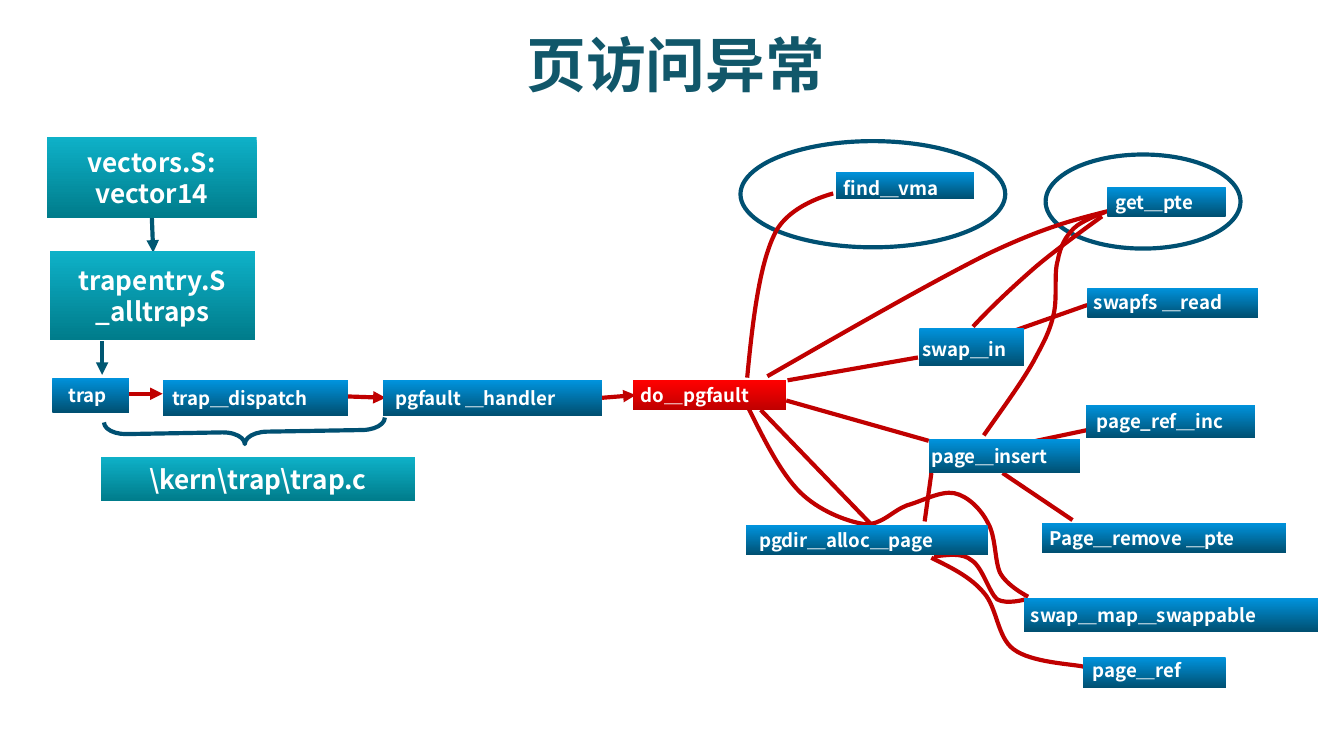
from pptx import Presentation
from pptx.dml.color import RGBColor
from pptx.enum.shapes import MSO_CONNECTOR, MSO_SHAPE
from pptx.enum.text import MSO_ANCHOR, PP_ALIGN
from pptx.oxml.ns import qn
from pptx.util import Inches, Pt
from lxml.etree import SubElement

FONT = "Noto Sans CJK SC"
HUES = {"title": "11576A", "white": "FFFFFF", "ring": "005072",
        "down": "005772", "call": "C00000"}
FADES = {"teal": ("0EB1C8", "007C8B"), "blue": ("0093DD", "005072"),
         "red": ("FF0000", "C00000")}

# Source files: lines of text, then left, top, width, height
FILES = [
    (["vectors.S:", "vector14"], (0.35, 1.02, 1.56, 0.6)),
    (["trapentry.S", "_alltraps"], (0.37, 1.87, 1.53, 0.66)),
    (["\\kern\\trap\\trap.c"], (0.75, 3.4, 2.34, 0.33)),
]
# Functions: name, place, left inset, fade
CALLS = [
    ("trap", (0.39, 2.81, 0.57, 0.26), 0.12, "blue"),
    ("trap＿dispatch", (1.21, 2.83, 1.38, 0.26), 0.07, "blue"),
    ("pgfault ＿handler", (2.85, 2.83, 1.63, 0.26), 0.09, "blue"),
    ("do＿pgfault", (4.71, 2.83, 1.14, 0.22), 0.06, "red"),
    ("find＿vma", (6.22, 1.28, 1.03, 0.2), 0.06, "blue"),
    ("get＿pte", (8.24, 1.39, 0.88, 0.22), 0.06, "blue"),
    ("swapfs ＿read", (8.09, 2.14, 1.27, 0.22), 0.05, "blue"),
    ("swap＿in", (6.84, 2.44, 0.78, 0.28), 0.02, "blue"),
    ("page_ref＿inc", (8.08, 3.01, 1.26, 0.25), 0.08, "blue"),
    ("page＿insert", (6.91, 3.27, 1.13, 0.25), 0.02, "blue"),
    ("pgdir＿alloc＿page", (5.55, 3.91, 1.8, 0.22), 0.1, "blue"),
    ("Page＿remove ＿pte", (7.75, 3.89, 1.82, 0.22), 0.06, "blue"),
    ("swap＿map＿swappable", (7.62, 4.45, 2.19, 0.25), 0.05, "blue"),
    ("page＿ref", (8.06, 4.89, 1.06, 0.23), 0.07, "blue"),
]
# Names that sit below (+) or above (-) the middle of their box
DROPS = {"find＿vma": 0.02, "swap＿in": 0.02, "page＿ref": -0.02}
RINGS = [(5.51, 1.05, 1.97, 0.79), (7.78, 1.15, 1.45, 0.7)]
# Straight lines: from x, y to x, y
ARROWS = [
    ("down", (1.13, 1.62, 1.14, 1.88)), ("down", (0.76, 2.54, 0.76, 2.79)),
    ("call", (0.96, 2.93, 1.21, 2.93)), ("call", (2.59, 2.95, 2.87, 2.96)),
    ("call", (4.48, 2.96, 4.73, 2.94)),
]
LINKS = [
    (5.66, 3.05, 6.48, 3.9), (5.85, 2.98, 6.91, 3.28),
    (5.86, 2.83, 6.83, 2.66), (7.35, 2.53, 8.09, 2.27),
    (7.57, 3.31, 8.09, 3.2), (6.88, 3.88, 6.93, 3.52),
    (7.46, 3.52, 7.98, 3.87),
]
# Curves: a start, then three points for each cubic piece
CURVES = [
    [(5.56, 2.81), (5.6, 2.39), (5.65, 1.98), (5.76, 1.75),
     (5.86, 1.52), (6.2, 1.44), (6.2, 1.44)],
    [(5.71, 2.8), (6.32, 2.45), (6.93, 2.1), (7.35, 1.89),
     (7.77, 1.69), (8.01, 1.63), (8.25, 1.57)],
    [(6.93, 4.15), (7.07, 4.22), (7.22, 4.29), (7.32, 4.41),
     (7.42, 4.52), (7.42, 4.74), (7.54, 4.83),
     (7.67, 4.93), (7.97, 4.94), (8.06, 4.96)],
    [(6.95, 4.14), (7.05, 4.13), (7.16, 4.11), (7.23, 4.17),
     (7.31, 4.22), (7.36, 4.41), (7.42, 4.46),
     (7.49, 4.5), (7.63, 4.46), (7.63, 4.46)],
    [(7.24, 2.43), (7.38, 2.28), (7.53, 2.14), (7.69, 2),
     (7.85, 1.86), (8.2, 1.61), (8.2, 1.61)],
    [(7.32, 3.24), (7.46, 3.04), (7.6, 2.85), (7.69, 2.69),
     (7.77, 2.54), (7.81, 2.47), (7.84, 2.34),
     (7.87, 2.21), (7.84, 2.04), (7.87, 1.94),
     (7.89, 1.83), (7.93, 1.76), (7.99, 1.7),
     (8.05, 1.64), (8.22, 1.58), (8.22, 1.58)],
    [(5.57, 3.04), (5.69, 3.28), (5.81, 3.52), (5.95, 3.66),
     (6.09, 3.8), (6.3, 3.88), (6.43, 3.9),
     (6.56, 3.91), (6.64, 3.8), (6.75, 3.76),
     (6.86, 3.73), (7, 3.65), (7.1, 3.67),
     (7.2, 3.69), (7.3, 3.79), (7.35, 3.89),
     (7.41, 3.99), (7.4, 4.17), (7.44, 4.26),
     (7.49, 4.36), (7.65, 4.44), (7.65, 4.44)],
]

# Wide 16:9 slide
deck = Presentation()
deck.slide_width = Inches(10)
deck.slide_height = Inches(10 * 9 / 16)
slide = deck.slides.add_slide(deck.slide_layouts[6])
parts = slide.shapes


def color(name):
    return RGBColor.from_string(HUES[name])


def inch(nums):
    return [Inches(n) for n in nums]


def write(shape, lines, size, hue="white", align=PP_ALIGN.CENTER, **form):
    frame = shape.text_frame
    base = {"word_wrap": True, "vertical_anchor": MSO_ANCHOR.MIDDLE}
    for key, val in {**base, **form}.items():
        setattr(frame, key, val)
    frame.text = "\n".join(lines)
    for para in frame.paragraphs:
        para.alignment = align
        run = para.runs[0]
        look = {"size": Pt(size), "bold": True, "name": FONT}
        for key, val in look.items():
            setattr(run.font, key, val)
        run.font.color.rgb = color(hue)
        SubElement(run.font._element, qn("a:ea")).set("typeface", FONT)


def box(spot, fade):
    shape = parts.add_shape(MSO_SHAPE.RECTANGLE, *inch(spot))
    shape.shadow.inherit = False
    shape.line.fill.background()
    shape.fill.gradient()
    shape.fill.gradient_angle = 270
    for stop, tone, at in zip(shape.fill.gradient_stops, FADES[fade], (0, 1)):
        stop.color.rgb = RGBColor.from_string(tone)
        stop.position = at
    return shape


def stroke(shape, hue):
    shape.line.color.rgb = color(hue)
    shape.line.width = Pt(2.25)


def hollow(shape, hue):
    shape.shadow.inherit = False
    shape.fill.background()
    stroke(shape, hue)


def link(ends, hue, head=False):
    wire = parts.add_connector(MSO_CONNECTOR.STRAIGHT, *inch(ends))
    stroke(wire, hue)
    if head:
        SubElement(wire.line._get_or_add_ln(), qn("a:tailEnd")).set("type", "triangle")
    SubElement(wire._element.spPr, qn("a:effectLst"))


def curve(dots, hue):
    first, *rest = [inch(dot) for dot in dots]
    pen = parts.build_freeform(*first)
    pen.add_line_segments(rest, close=False)
    shape = pen.convert_to_shape()
    hollow(shape, hue)
    # Join each three line steps into one cubic piece
    geom = next(shape._element.iter(qn("a:path")))
    steps = geom.findall(qn("a:lnTo"))
    for i in range(0, len(steps), 3):
        cubic = SubElement(geom, qn("a:cubicBezTo"))
        for step in steps[i:i + 3]:
            cubic.append(step[0])
            geom.remove(step)


# Title
title = parts.add_textbox(*inch((0.68, 0.13, 8.7, 0.66)))
write(title, ["页访问异常"], 32, "title", vertical_anchor=MSO_ANCHOR.BOTTOM)

# Rings and brace
for spot in RINGS:
    hollow(parts.add_shape(MSO_SHAPE.OVAL, *inch(spot)), "ring")
brace = parts.add_shape(MSO_SHAPE.RIGHT_BRACE, *inch((1.73, 2.17, 0.18, 2.09)))
brace.rotation = 89
brace.adjustments[0] = 0.92
hollow(brace, "ring")

# Arrows, links and curves
for hue, ends in ARROWS:
    link(ends, hue, head=True)
for ends in LINKS:
    link(ends, "call")
for dots in CURVES:
    curve(dots, "call")

# Boxes
for lines, spot in FILES:
    write(box(spot, "teal"), lines, 14, word_wrap=False)
for name, spot, inset, fade in CALLS:
    drop = DROPS.get(name, 0)
    write(box(spot, fade), [name], 10, align=PP_ALIGN.LEFT,
          margin_left=Inches(inset), margin_right=0,
          margin_top=Inches(max(2 * drop, 0)),
          margin_bottom=Inches(max(-2 * drop, 0)))

deck.save("out.pptx")
